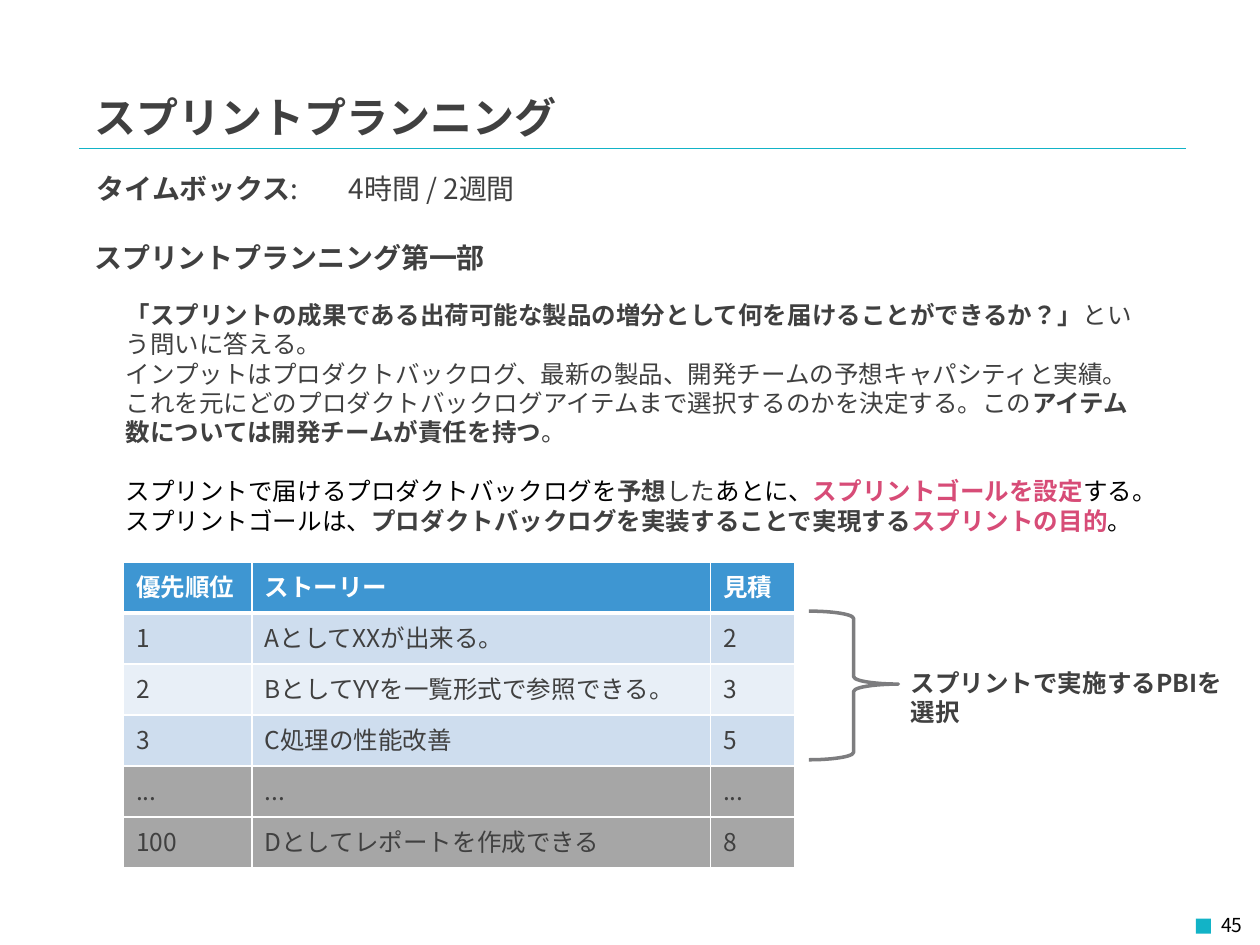
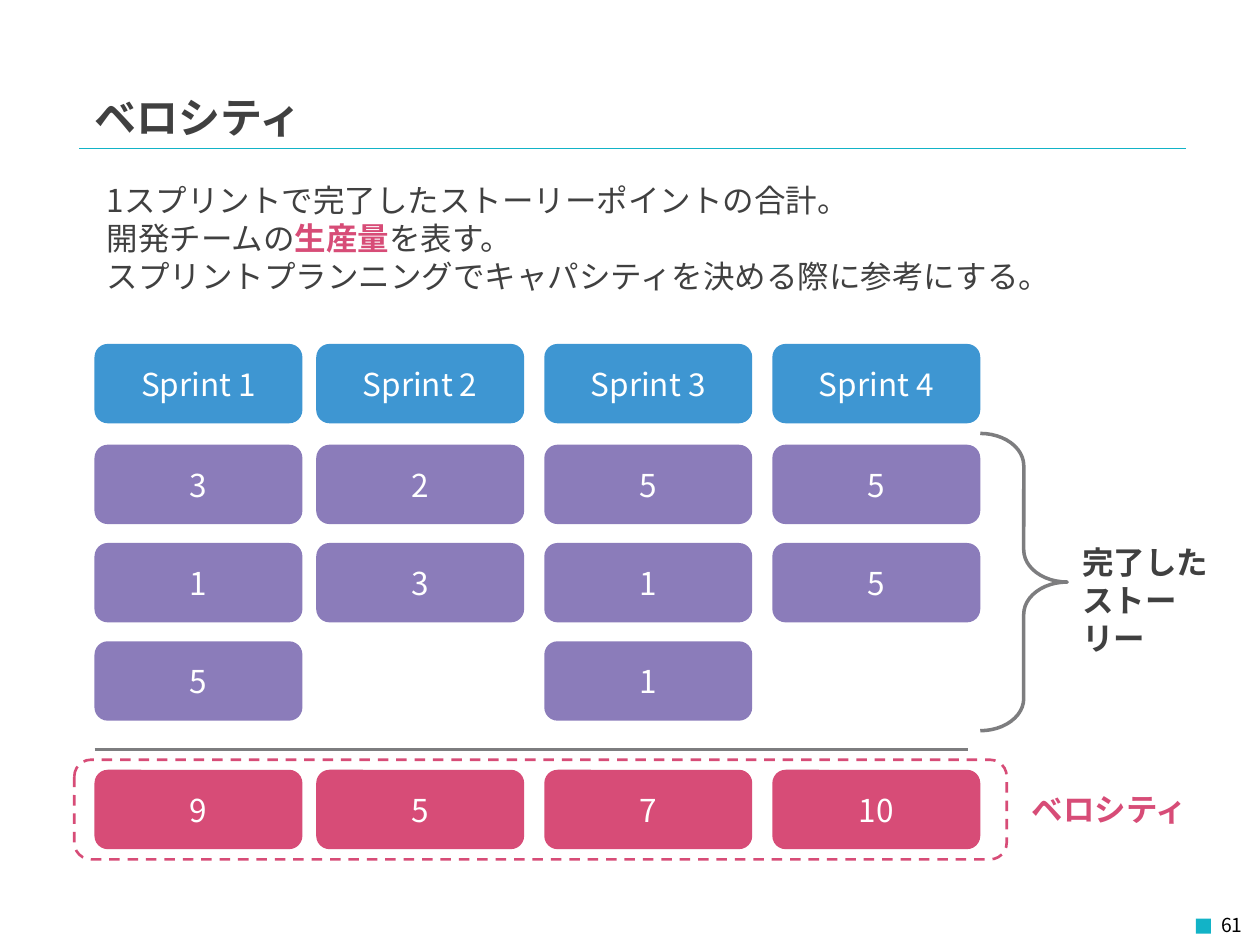
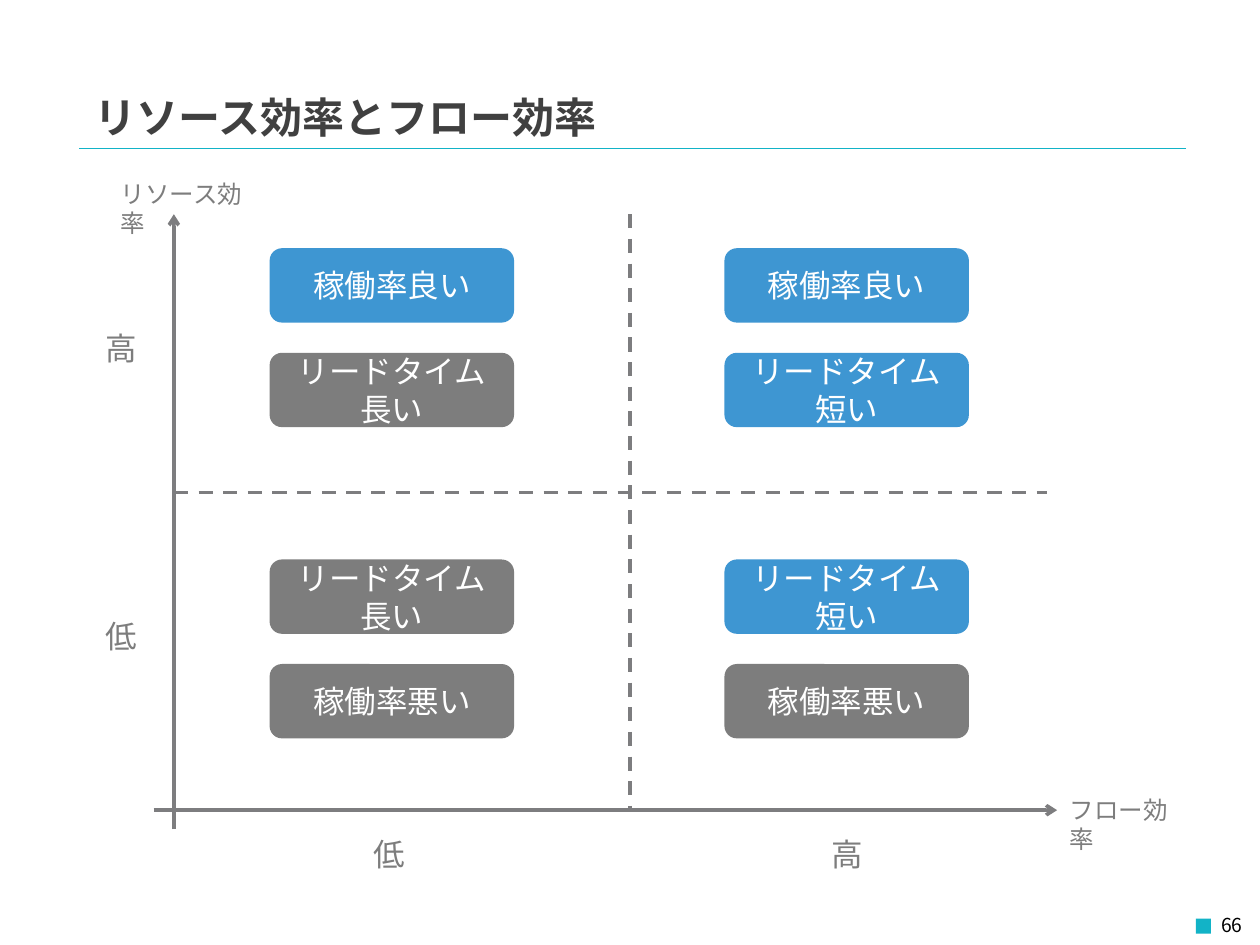
from lxml.etree import SubElement
from pptx import Presentation
from pptx.dml.color import RGBColor
from pptx.enum.dml import MSO_LINE
from pptx.enum.lang import MSO_LANGUAGE_ID
from pptx.enum.shapes import MSO_CONNECTOR, MSO_SHAPE
from pptx.enum.text import MSO_ANCHOR, PP_ALIGN
from pptx.oxml.ns import qn
from pptx.util import Inches, Pt

# Shared look
WIDTH, HEIGHT = 10, 7.5
COLORS = {
    "accent": "12B3C7", "ink": "404040", "black": "000000", "white": "FFFFFF",
    "pink": "D74C77", "blue": "3E96D2", "purple": "8B7CBA", "gray": "7D7D7D",
    "line": "7D7D7F", "band_dark": "CEDDEE", "band_light": "E8EFF7",
    "out_of_scope": "A6A6A6",
}
JP, KR = "Noto Sans CJK JP", "Noto Sans CJK KR"
TITLE_BOX = (0.65, 0.68, 6.38, 0.39)


def color(name):
    return RGBColor.from_string(COLORS[name])


def inches(*lengths):
    return [Inches(length) for length in lengths]


# Text
def style_paragraph(paragraph, size, ink="ink", bold=False, face=KR,
                    align=PP_ALIGN.LEFT):
    paragraph.alignment = align
    paragraph.line_spacing = 1.0
    font = paragraph.font
    font.size, font.bold, font.name = Pt(size), bold, face
    font.color.rgb = color(ink)
    font.language_id = MSO_LANGUAGE_ID.JAPANESE
    properties = paragraph._p.pPr.find(qn("a:defRPr"))
    SubElement(properties, qn("a:ea"), typeface=face)


def write(frame, paragraphs, size, **style):
    """A paragraph is a string or a list of strings and (text, ink, bold)."""
    frame.word_wrap = True
    for index, parts in enumerate(paragraphs):
        paragraph = frame.add_paragraph() if index else frame.paragraphs[0]
        style_paragraph(paragraph, size, **style)
        for part in [parts] if isinstance(parts, str) else parts:
            text, ink, bold = (part, None, None) if isinstance(part, str) else part
            run = paragraph.add_run()
            run.text = text
            if ink:
                run.font.color.rgb = color(ink)
                run.font.bold = bold


def add_text(slide, box, paragraphs, size, **style):
    frame = slide.shapes.add_textbox(*inches(*box)).text_frame
    write(frame, paragraphs, size, **style)
    return frame


# Shapes and lines
def add_shape(slide, preset, box, fill=None, outline=None, weight=2):
    shape = slide.shapes.add_shape(preset, *inches(*box))
    shape.shadow.inherit = False
    if fill:
        shape.fill.solid()
        shape.fill.fore_color.rgb = color(fill)
    else:
        shape.fill.background()
    if outline:
        shape.line.color.rgb = color(outline)
        shape.line.width = Pt(weight)
    else:
        shape.line.fill.background()
    return shape


def add_card(slide, box, text, fill):
    card = add_shape(slide, MSO_SHAPE.ROUNDED_RECTANGLE, box, fill)
    card.text_frame.vertical_anchor = MSO_ANCHOR.MIDDLE
    write(card.text_frame, [text], 18, ink="white", align=PP_ALIGN.CENTER)


def add_brace(slide, box, curl, tip):
    brace = add_shape(slide, MSO_SHAPE.RIGHT_BRACE, box, outline="line")
    brace.adjustments[0], brace.adjustments[1] = curl, tip


def add_line(slide, start, end, ink="line", weight=2, dashed=False, arrow=False):
    line = slide.shapes.add_connector(MSO_CONNECTOR.STRAIGHT,
                                      *inches(*start, *end))
    line.line.color.rgb = color(ink)
    line.line.width = Pt(weight)
    if dashed:
        line.line.dash_style = MSO_LINE.DASH
    if arrow:
        SubElement(line.line._get_or_add_ln(), qn("a:tailEnd"), type="arrow")
    SubElement(line._element.spPr, qn("a:effectLst"))


# Table
def border_cell(cell, bottom):
    properties = cell._tc.get_or_add_tcPr()
    weights = {"lnL": 1, "lnR": 1, "lnT": 1, "lnB": bottom}
    for index, (side, weight) in enumerate(weights.items()):
        edge = properties.makeelement(qn(f"a:{side}"), w=str(Pt(weight)))
        fill = SubElement(edge, qn("a:solidFill"))
        SubElement(fill, qn("a:srgbClr"), val=COLORS["white"])
        properties.insert(index, edge)


def add_backlog(slide, left, top, widths, height, rows, fills):
    table = slide.shapes.add_table(
        len(rows), len(widths), *inches(left, top, sum(widths), height)).table
    for column, width in zip(table.columns, widths):
        column.width = Inches(width)
    for r, (row, fill) in enumerate(zip(rows, fills)):
        header = r == 0
        for c, text in enumerate(row):
            cell = table.cell(r, c)
            cell.fill.solid()
            cell.fill.fore_color.rgb = color(fill)
            border_cell(cell, bottom=3 if header else 1)
            write(cell.text_frame, [text], 14, bold=header,
                  ink="white" if header else "ink")


# Frame of every slide
def start_slide(deck, title, number):
    slide = deck.slides.add_slide(deck.slide_layouts[5])
    heading = slide.shapes.title
    heading.left, heading.top, heading.width, heading.height = inches(*TITLE_BOX)
    heading.text_frame.vertical_anchor = MSO_ANCHOR.TOP
    write(heading.text_frame, [title], 24, bold=True, face=JP)
    add_line(slide, (0.63, 1.18), (9.41, 1.18), "accent", 0.25)
    add_shape(slide, MSO_SHAPE.RECTANGLE, (9.49, 7.29, 0.12, 0.12), "accent")
    add_text(slide, (8.57, 7.2, 1.39, 0.3), [str(number)], 11, ink="black",
             face=JP, align=PP_ALIGN.RIGHT)
    return slide


def build_sprint_planning(deck):
    slide = start_slide(deck, "スプリントプランニング", 45)
    add_text(slide, (0.67, 1.31, 8.58, 0.37),
             [[("タイムボックス", "ink", True), ":\t4時間 / 2週間"]], 16)
    add_text(slide, (0.65, 1.86, 8.58, 0.37),
             ["スプリントプランニング第一部"], 16, bold=True)
    explanation = add_text(slide, (0.9, 2.33, 8.3, 1.99), [
        [("「スプリントの成果である出荷可能な製品の増分として何を届けることができるか？」",
          "ink", True), "という問いに答える。"],
        "インプットはプロダクトバックログ、最新の製品、開発チームの予想キャパシティと実績。",
        ["これを元にどのプロダクトバックログアイテムまで選択するのかを決定する。この",
         ("アイテム数については開発チームが責任を持つ", "ink", True), "。"],
        [("スプリントで届けるプロダクトバックログを", "black", False),
         ("予想", "ink", True), "した", ("あとに、", "black", False),
         ("スプリントゴールを設定", "pink", True), ("する。", "black", False)],
        [("スプリントゴールは、", "black", False),
         ("プロダクトバックログを実装することで実現する", "ink", True),
         ("スプリントの目的", "pink", True), ("。", "black", False)],
    ], 14)
    explanation.paragraphs[3].space_before = Pt(16.8)

    add_backlog(slide, 0.98, 4.46, [1.02, 3.64, 0.67], 2.43, [
        ["優先順位", "ストーリー", "見積"],
        ["1", "AとしてXXが出来る。", "2"],
        ["2", "BとしてYYを一覧形式で参照できる。", "3"],
        ["3", "C処理の性能改善", "5"],
        ["...", "...", "..."],
        ["100", "Dとしてレポートを作成できる", "8"],
    ], ["blue", "band_dark", "band_light", "band_dark",
        "out_of_scope", "out_of_scope"])
    add_brace(slide, (6.42, 4.85, 0.71, 1.18), 0.083, 0.491)
    add_text(slide, (7.13, 5.25, 2.79, 0.34),
             ["スプリントで実施するPBIを選択"], 14, bold=True, face=JP)


def build_velocity(deck):
    slide = start_slide(deck, "ベロシティ", 61)
    add_text(slide, (0.75, 1.39, 8.11, 1.01), [
        "1スプリントで完了したストーリーポイントの合計。",
        ["開発チームの", ("生産量", "pink", True), "を表す。"],
        "スプリントプランニングでキャパシティを決める際に参考にする。",
    ], 18)

    # One column per sprint: name, finished stories, total
    sprint_lefts = [0.75, 2.51, 4.32, 6.13]
    card_width, card_height = 1.65, 0.63
    name_top, total_top = 2.73, 6.11
    story_top, story_step = 3.53, 0.78
    sprints = [[3, 1, 5], [2, 3], [5, 1, 1], [5, 5]]
    for index, (left, stories) in enumerate(zip(sprint_lefts, sprints)):
        cards = [(name_top, f"Sprint {index + 1}", "blue")]
        cards += [(story_top + row * story_step, str(points), "purple")
                  for row, points in enumerate(stories)]
        cards.append((total_top, str(sum(stories)), "pink"))
        for top, text, fill in cards:
            add_card(slide, (left, top, card_width, card_height), text, fill)

    add_line(slide, (sprint_lefts[0], 5.95), (7.68, 5.95))
    add_brace(slide, (7.78, 3.44, 0.69, 2.36), 0.371, 0.5)
    add_text(slide, (8.49, 4.26, 1.39, 0.71), ["完了した", "ストーリー"], 18,
             bold=True, face=JP)
    totals_frame = add_shape(slide, MSO_SHAPE.ROUNDED_RECTANGLE,
                             (0.59, 6.03, 7.4, 0.79), outline="pink", weight=1.5)
    totals_frame.line.dash_style = MSO_LINE.DASH
    add_text(slide, (8.09, 6.22, 1.9, 0.4), ["ベロシティ"], 18, ink="pink",
             bold=True, face=JP)


def build_efficiency(deck):
    slide = start_slide(deck, "リソース効率とフロー効率", 66)

    # Axes and dividers
    axis_x, axis_y, top, middle_x, middle_y = 1.38, 6.43, 1.7, 5, 3.91
    add_line(slide, (axis_x, 6.58), (axis_x, top), arrow=True)
    add_line(slide, (1.22, axis_y), (8.39, axis_y), arrow=True)
    add_line(slide, (axis_x, middle_y), (8.31, middle_y), dashed=True)
    add_line(slide, (middle_x, top), (middle_x, axis_y), dashed=True)

    # Axis names and levels
    add_text(slide, (0.86, 1.37, 1.18, 0.34), ["リソース効率"], 14, ink="gray")
    add_text(slide, (8.39, 6.26, 1.03, 0.34), ["フロー効率"], 14, ink="gray")
    for level, x, y in [("高", 0.74, 2.56), ("低", 0.74, 4.85),
                        ("高", 6.5, 6.58), ("低", 2.87, 6.58)]:
        add_text(slide, (x, y, 0.5, 0.4), [level], 18, ink="gray")

    # Two cards in each quadrant
    busy, idle = ("稼働率良い", "blue"), ("稼働率悪い", "gray")
    slow, fast = ("リードタイム長い", "gray"), ("リードタイム短い", "blue")
    quadrants = [[(busy, slow), (busy, fast)], [(slow, idle), (fast, idle)]]
    for quadrant_top, row in zip((1.97, 4.44), quadrants):
        for quadrant_left, cards in zip((2.14, 5.75), row):
            for index, (text, fill) in enumerate(cards):
                add_card(slide, (quadrant_left, quadrant_top + index * 0.83,
                                 1.94, 0.59), text, fill)


def main():
    deck = Presentation()
    deck.slide_width, deck.slide_height = inches(WIDTH, HEIGHT)
    build_sprint_planning(deck)
    build_velocity(deck)
    build_efficiency(deck)
    deck.save("out.pptx")


if __name__ == "__main__":
    main()
